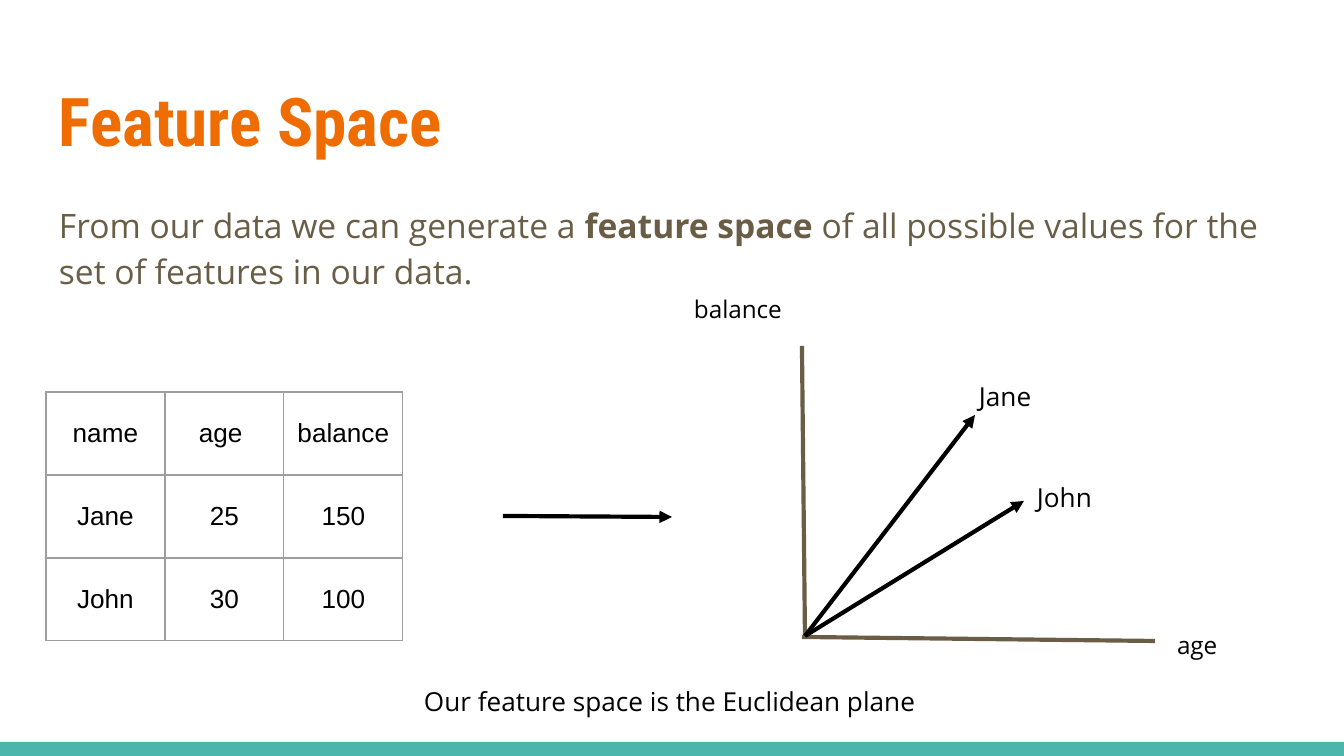
from lxml import etree
from pptx import Presentation
from pptx.dml.color import RGBColor
from pptx.enum.shapes import MSO_CONNECTOR, MSO_SHAPE
from pptx.enum.text import MSO_ANCHOR, PP_ALIGN
from pptx.oxml import parse_xml
from pptx.oxml.ns import nsdecls, qn
from pptx.util import Pt

RECT = MSO_SHAPE.RECTANGLE
LINE = MSO_CONNECTOR.STRAIGHT
TOP, MIDDLE = MSO_ANCHOR.TOP, MSO_ANCHOR.MIDDLE
LEFT, CENTER = PP_ALIGN.LEFT, PP_ALIGN.CENTER

WHITE = RGBColor(0xFF, 0xFF, 0xFF)
BLACK = RGBColor(0, 0, 0)
TEAL = RGBColor(0x4D, 0xB6, 0xAC)
ORANGE = RGBColor(0xEF, 0x6C, 0x00)
BROWN = RGBColor(0x69, 0x5D, 0x46)
GREY = RGBColor(0x9E, 0x9E, 0x9E)


def px(*sizes):
    return [round(size * 914400 / 134.4) for size in sizes]


def write(frame, parts, size, font, color, anchor=TOP, align=LEFT):
    frame.word_wrap = True
    frame.vertical_anchor = anchor
    pad = px(13)[0]
    frame.margin_left = frame.margin_right = pad
    frame.margin_top = frame.margin_bottom = pad
    par = frame.paragraphs[0]
    par.alignment = align
    for text, bold in parts:
        run = par.add_run()
        run.text = text
        run.font.size = Pt(size)
        run.font.name = font
        run.font.bold = bold
        run.font.color.rgb = color
    return par


deck = Presentation()
deck.slide_width, deck.slide_height = px(1344, 756)
slide = deck.slides.add_slide(deck.slide_layouts[5])
shapes = slide.shapes
slide.background.fill.solid()
slide.background.fill.fore_color.rgb = WHITE

band = shapes.add_shape(RECT, *px(0, 742, 1344, 14))
band.shadow.inherit = False
band.fill.solid()
band.fill.fore_color.rgb = TEAL
band.line.fill.background()

title = shapes.title
title.left, title.top, title.width, title.height = px(46, 66, 1252, 103)
write(title.text_frame, [("Feature Space", True)], 36, "Roboto Condensed", ORANGE)

body = shapes.add_textbox(*px(46, 186, 1252, 125))
parts = [
    ("From our data we can generate a ", False),
    ("feature space", True),
    (" of all possible values for the set of features in our data.", False),
]
par = write(body.text_frame, parts, 18, "Open Sans", BROWN)
par.line_spacing = 1.15
par.space_after = Pt(16)

rows = [("name", "age ", "balance"), ("Jane", "25", "150"), ("John", "30", "100")]
table = shapes.add_table(3, 3, *px(46, 392, 357, 249)).table
table.first_row = table.horz_banding = False
for col in table.columns:
    col.width = px(119)[0]
for r, row in enumerate(rows):
    table.rows[r].height = px(83)[0]
    for c, text in enumerate(row):
        cell = table.cell(r, c)
        write(cell.text_frame, [(text, False)], 14, "Arial", BLACK, align=CENTER)
        cell.vertical_anchor = MIDDLE
        pad = px(13)[0]
        cell.margin_left = cell.margin_right = pad
        cell.margin_top = cell.margin_bottom = pad
        cell.fill.background()
        props = cell._tc.get_or_add_tcPr()
        for i, side in enumerate(("lnL", "lnR", "lnT", "lnB")):
            props.insert(i, parse_xml(
                f'<a:{side} {nsdecls("a")} w="{Pt(0.75)}"><a:solidFill>'
                f'<a:srgbClr val="{GREY}"/></a:solidFill></a:{side}>'))

for text, box in [("balance", (681, 281, 133, 58)), ("age", (1164, 617, 106, 93))]:
    label = shapes.add_shape(RECT, *px(*box))
    label.shadow.inherit = False
    label.fill.solid()
    label.fill.fore_color.rgb = WHITE
    label.line.fill.background()
    write(label.text_frame, [(text, False)], 13, "Open Sans", BLACK)

lines = [
    ((802, 346, 805, 637), BROWN, False),
    ((802, 637, 1155, 641), BROWN, False),
    ((503, 516, 672, 517), BLACK, True),
    ((805, 636, 1024, 501), BLACK, True),
    ((805, 636, 975, 415), BLACK, True),
]
for ends, color, arrow in lines:
    line = shapes.add_connector(LINE, *px(*ends))
    line.line.color.rgb = color
    line.line.width = Pt(2.25)
    if arrow:
        tail = etree.SubElement(line.line._get_or_add_ln(), qn("a:tailEnd"))
        tail.set("type", "triangle")
    etree.SubElement(line._element.spPr, qn("a:effectLst"))

notes = [
    ("Jane", (966, 367, 133, 47)),
    ("John", (1024, 468, 133, 47)),
    ("Our feature space is the Euclidean plane", (411, 672, 523, 47)),
]
for text, box in notes:
    note = shapes.add_textbox(*px(*box))
    write(note.text_frame, [(text, False)], 14, "Open Sans", BLACK)

deck.save("out.pptx")
